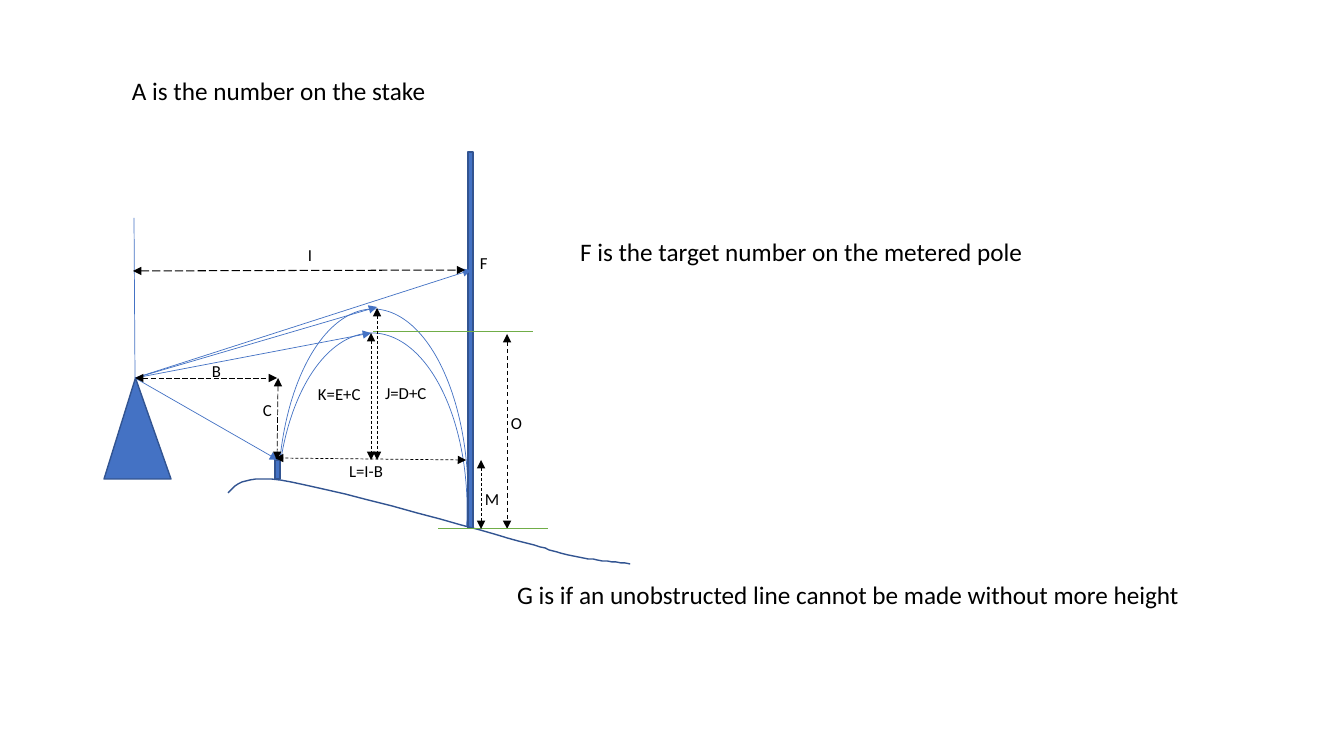
import pptx
import pptx.util
import pptx.dml.color
import pptx.enum.dml
import pptx.enum.shapes
import pptx.enum.text
import pptx.oxml
import pptx.oxml.ns

PX = 914400 / 100.8
BLUE, NAVY, GREEN, BLACK = "4472C4", "325491", "70AD47", "000000"
SHAPE = pptx.enum.shapes.MSO_SHAPE
DASH = pptx.enum.dml.MSO_LINE.DASH
LONG = pptx.enum.dml.MSO_LINE.LONG_DASH


def px(*values):
    return [round(v * PX) for v in values]


def paint(fmt, color):
    fmt.solid()
    fmt.fore_color.rgb = pptx.dml.color.RGBColor.from_string(color)


prs = pptx.Presentation()
prs.slide_width = pptx.util.Inches(13.33)
prs.slide_height = pptx.util.Inches(7.5)
s = prs.slides.add_slide(prs.slide_layouts[6])

arcs = [
    ((278, 309, 190, 376), 189.9, 16.8),
    ((277, 333, 190, 353), 200.3, 10.4),
]
for box, start, end in arcs:
    sp = s.shapes.add_shape(SHAPE.ARC, *px(*box))
    sp.adjustments[0] = start * 0.6
    sp.adjustments[1] = end * 0.6
    sp.shadow.inherit = False
    sp.fill.background()
    paint(sp.line.fill, BLUE)
    sp.line.width = pptx.util.Pt(0.5)

tripod = s.shapes.add_shape(SHAPE.ISOSCELES_TRIANGLE, *px(104, 378, 67, 101))
tripod.adjustments[0] = 0.47
pole = s.shapes.add_shape(SHAPE.RECTANGLE, *px(468, 152, 5, 376))
stake = s.shapes.add_shape(SHAPE.RECTANGLE, *px(275, 460, 5, 19))
for sp in (tripod, pole, stake):
    paint(sp.fill, BLUE)

ground_start = (228, 493)
ground_curves = [
    ((237, 483), (245, 474), (291, 482)),
    ((338, 489), (507, 538), (507, 538)),
    ((553, 550), (552, 551), (573, 556)),
    ((593, 560), (612, 562), (630, 564)),
]
points = [ground_start]
for b, c, d in ground_curves:
    a = points[-1]
    for t in [i / 12 for i in range(1, 13)]:
        u = 1 - t
        points.append(tuple(
            u**3 * a[k] + 3 * u * u * t * b[k] + 3 * u * t * t * c[k] + t**3 * d[k]
            for k in (0, 1)))
fb = s.shapes.build_freeform(*ground_start, scale=PX)
fb.add_line_segments(points[1:], close=False)
ground = fb.convert_to_shape()
ground.fill.background()

for sp in (tripod, pole, stake, ground):
    sp.shadow.inherit = False
    paint(sp.line.fill, NAVY)
    sp.line.width = pptx.util.Pt(1)

sight = (135, 378)
lines = [
    (*sight, 278, 460, BLUE, 0.5, None, "tail"),
    (*sight, 377, 307, BLUE, 0.5, None, "tail"),
    (*sight, 371, 333, BLUE, 0.5, None, "tail"),
    (*sight, 471, 270, BLUE, 0.5, None, "tail"),
    (373, 331, 533, 331, GREEN, 0.5, None, ""),
    (507, 334, 507, 529, BLACK, 0.75, DASH, "head tail"),
    (134, 218, *sight, BLUE, 0.5, None, ""),
    (133, 271, 465, 270, BLACK, 0.75, LONG, "head tail"),
    (371, 333, 371, 460, BLACK, 0.5, DASH, "head tail"),
    (377, 308, 377, 460, BLACK, 0.5, DASH, "head tail"),
    (278, 378, 277, 460, BLACK, 0.5, LONG, "head tail"),
    (*sight, 277, 378, BLACK, 0.5, LONG, "head tail"),
    (466, 460, 275, 458, BLACK, 0.5, DASH, "head tail"),
    (438, 528, 548, 528, GREEN, 0.5, None, ""),
    (481, 460, 481, 529, BLACK, 0.5, DASH, "head tail"),
]
for x1, y1, x2, y2, color, width, dash, ends in lines:
    line = s.shapes.add_connector(
        pptx.enum.shapes.MSO_CONNECTOR.STRAIGHT, *px(x1, y1, x2, y2))
    paint(line.line.fill, color)
    line.line.width = pptx.util.Pt(width)
    if dash:
        line.line.dash_style = dash
    for end in ends.split():
        arrow = pptx.oxml.parse_xml(
            f'<a:{end}End {pptx.oxml.ns.nsdecls("a")} type="triangle"/>')
        line.line._get_or_add_ln().append(arrow)
    effects = pptx.oxml.parse_xml(f'<a:effectLst {pptx.oxml.ns.nsdecls("a")}/>')
    line._element.spPr.append(effects)

labels = [
    ("B", 202, 356, 29, 12, False),
    ("C", 253, 395, 24, 12, True),
    ("J=D+C", 375, 378, 79, 12, True),
    ("K=E+C", 308, 379, 70, 12, True),
    ("F", 470, 248, 23, 12, True),
    ("O", 501, 408, 23, 12, True),
    ("I", 298, 240, 23, 12, True),
    ("L=I-B", 339, 456, 79, 12, True),
    ("M", 475, 484, 23, 12, True),
    ("G is if an unobstructed line cannot be made without more height",
     507, 574, 690, 18, False),
    ("F is the target number on the metered pole", 570, 231, 469, 18, False),
    ("A is the number on the stake", 122, 70, 318, 18, False),
]
for text, x, y, width, size, wrap in labels:
    height = 30 if size == 12 else 40
    tf = s.shapes.add_textbox(*px(x, y, width, height)).text_frame
    tf.word_wrap = wrap
    tf.auto_size = pptx.enum.text.MSO_AUTO_SIZE.SHAPE_TO_FIT_TEXT
    p = tf.paragraphs[0]
    p.text = text
    p.font.name = "Calibri"
    p.font.size = pptx.util.Pt(size)
    paint(p.font.fill, BLACK)

prs.save("out.pptx")
